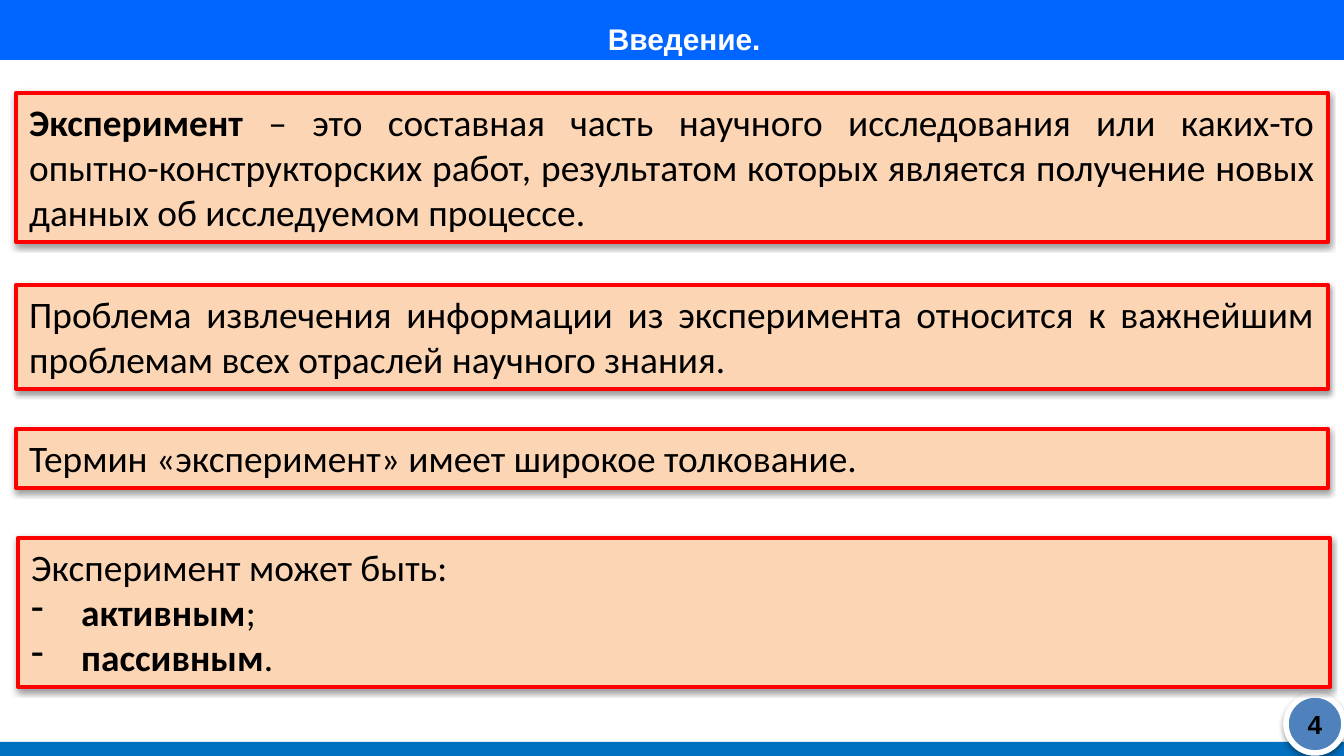
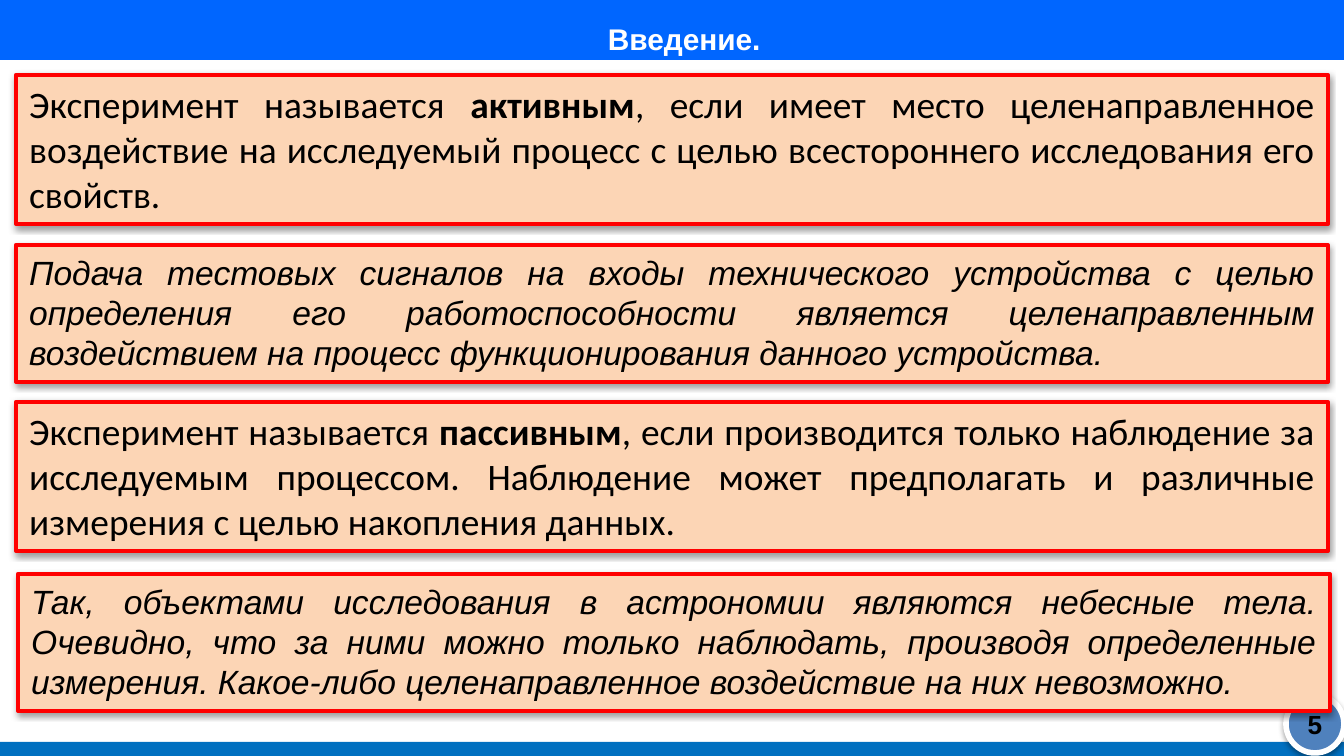
"""Build two introduction slides on active and passive experiments."""
import dataclasses
import lxml.etree
import pptx
import pptx.dml.color
import pptx.enum.shapes
import pptx.enum.text
import pptx.oxml
import pptx.oxml.ns
import pptx.util

SHAPE = pptx.enum.shapes.MSO_SHAPE
ALIGN = pptx.enum.text.PP_ALIGN
ANCHOR = pptx.enum.text.MSO_ANCHOR
FIT = pptx.enum.text.MSO_AUTO_SIZE


@dataclasses.dataclass(frozen=True)
class TextStyle:
    font: str
    size: int
    color: str = "000000"
    bold: bool = False
    italic: bool = False
    line_height: int = 0


@dataclasses.dataclass(frozen=True)
class Theme:
    header: str = "0066FF"
    footer: str = "0070C0"
    badge: str = "4F81BD"
    badge_line: str = "FFFFFF"
    panel: str = "FCD5B5"
    panel_line: str = "FF0000"
    title: TextStyle = TextStyle("Arial", 16, "FFFFFF", bold=True)
    number: TextStyle = TextStyle("Arial", 14, bold=True)
    body: TextStyle = TextStyle("Calibri", 20, line_height=45)
    example: TextStyle = TextStyle("Arial", 18, italic=True, line_height=41)


THEME = Theme()
TITLE = "Введение."
WIDTH, HEIGHT = 1344, 756
SCALE = 914400 / 134.4
PANEL_LEFT, PANEL_WIDTH, PANEL_PADDING = 16, 1312, 14
LAST_PANEL_SHIFT = 2
BULLET_INDENT = 50

SLIDES = [
    {"number": "4", "panels": [
        {"top": 93, "lines": 3, "style": THEME.body, "paras": [
            [("Эксперимент", True),
             (" – это составная часть научного исследования или каких-то "
              "опытно-конструкторских работ, результатом которых является "
              "получение новых данных об исследуемом процессе.", False)]]},
        {"top": 285, "lines": 2, "style": THEME.body, "paras": [
            [("Проблема извлечения информации из эксперимента относится к "
              "важнейшим проблемам всех отраслей научного знания.", False)]]},
        {"top": 429, "lines": 1, "style": THEME.body, "paras": [
            [("Термин «эксперимент» имеет широкое толкование.", False)]]},
        {"top": 538, "lines": 3, "style": THEME.body,
         "paras": [[("Эксперимент может быть:", False)]],
         "bullets": [[("активным", True), (";", False)],
                     [("пассивным", True), (".", False)]]},
    ]},
    {"number": "5", "panels": [
        {"top": 75, "lines": 3, "style": THEME.body, "paras": [
            [("Эксперимент называется ", False), ("активным", True),
             (", если имеет место целенаправленное воздействие на исследуемый "
              "процесс с целью всестороннего исследования его свойств.", False)]]},
        {"top": 245, "lines": 3, "style": THEME.example, "paras": [
            [("Подача тестовых сигналов на входы технического устройства с "
              "целью определения его работоспособности является "
              "целенаправленным воздействием на процесс функционирования "
              "данного устройства.", False)]]},
        {"top": 402, "lines": 3, "style": THEME.body, "paras": [
            [("Эксперимент называется ", False), ("пассивным", True),
             (", если производится только наблюдение за исследуемым процессом. "
              "Наблюдение может предполагать и различные измерения с целью "
              "накопления данных.", False)]]},
        {"top": 574, "lines": 3, "style": THEME.example, "paras": [
            [("Так, объектами исследования в астрономии являются небесные "
              "тела. Очевидно, что за ними можно только наблюдать, производя "
              "определенные измерения. Какое-либо целенаправленное "
              "воздействие на них невозможно.", False)]]},
    ]},
]


def px(length):
    """Turn pixels into EMU."""
    return pptx.util.Emu(round(length * SCALE))


def rgb(color):
    """Turn a hex string into a colour."""
    return pptx.dml.color.RGBColor.from_string(color)


def place(shape, left, top, width, height):
    """Set the position and size of a shape in pixels."""
    shape.left, shape.top = px(left), px(top)
    shape.width, shape.height = px(width), px(height)


def style_span(span, style, bold=None):
    """Apply a text style to one run."""
    span.font.name = style.font
    span.font.size = pptx.util.Pt(style.size)
    span.font.bold = style.bold if bold is None else bold
    span.font.italic = style.italic
    span.font.color.rgb = rgb(style.color)


def add_figure(page, kind, area, fill, line=None, line_width=0):
    """Add a filled preset shape, outlined or plain."""
    shape = page.shapes.add_shape(kind, *map(px, area))
    shape.shadow.inherit = False
    shape.fill.solid()
    shape.fill.fore_color.rgb = rgb(fill)
    if line:
        shape.line.color.rgb = rgb(line)
        shape.line.width = pptx.util.Pt(line_width)
    else:
        shape.line.fill.background()
    return shape


def add_shadow(shape):
    """Give a shape a soft shadow that falls downward."""
    effects = shape.element.spPr.find(pptx.oxml.ns.qn("a:effectLst"))
    effects.append(pptx.oxml.parse_xml(
        '<a:outerShdw xmlns:a="http://schemas.openxmlformats.org/drawingml/2006/main"'
        ' blurRad="40000" dist="20000" dir="5400000" rotWithShape="0">'
        '<a:srgbClr val="000000"><a:alpha val="38000"/></a:srgbClr></a:outerShdw>'))


def add_bullet(para):
    """Give a paragraph a hanging dash."""
    properties = para._p.get_or_add_pPr()
    properties.set("marL", str(px(BULLET_INDENT)))
    properties.set("indent", str(-px(BULLET_INDENT)))
    bullet = lxml.etree.SubElement(properties, pptx.oxml.ns.qn("a:buChar"))
    bullet.set("char", "-")


def add_frame(page, number):
    """Add the header, title, footer and numbered badge."""
    header = add_figure(page, SHAPE.RECTANGLE, (0, 0, WIDTH, 60), THEME.header)
    title = page.shapes.title
    header.element.addnext(title.element)
    place(title, 103, -3, 1140, 63)
    frame = title.text_frame
    frame.text = TITLE
    frame.auto_size = FIT.NONE
    frame.vertical_anchor = ANCHOR.TOP
    frame.margin_left, frame.margin_top = px(36), px(24)
    frame.margin_bottom = 0
    frame.paragraphs[0].alignment = ALIGN.CENTER
    style_span(frame.paragraphs[0].runs[0], THEME.title)

    add_figure(page, SHAPE.RECTANGLE, (0, 742, WIDTH, 14), THEME.footer)
    badge = add_figure(page, SHAPE.OVAL, (1286, 695, 58, 58),
                       THEME.badge, THEME.badge_line, 3)
    add_shadow(badge)
    box = page.shapes.add_textbox(*map(px, (1286, 704, 58, 41)))
    box.text_frame.word_wrap = True
    box.text_frame.vertical_anchor = ANCHOR.MIDDLE
    box.text_frame.text = number
    box.text_frame.paragraphs[0].alignment = ALIGN.CENTER
    style_span(box.text_frame.paragraphs[0].runs[0], THEME.number)


def add_panel(page, panel, shift):
    """Add one outlined panel sized by its number of lines."""
    style = panel["style"]
    height = panel["lines"] * style.line_height + PANEL_PADDING
    area = (PANEL_LEFT + shift, panel["top"], PANEL_WIDTH, height)
    shape = add_figure(page, SHAPE.RECTANGLE, area,
                       THEME.panel, THEME.panel_line, 2.25)
    add_shadow(shape)
    frame = shape.text_frame
    frame.word_wrap = True
    frame.auto_size = FIT.SHAPE_TO_FIT_TEXT
    frame.vertical_anchor = ANCHOR.TOP
    plain = panel["paras"]
    for index, spans in enumerate(plain + panel.get("bullets", [])):
        para = frame.add_paragraph() if index else frame.paragraphs[0]
        para.alignment = ALIGN.JUSTIFY
        if index >= len(plain):
            add_bullet(para)
        for text, bold in spans:
            span = para.add_run()
            span.text = text
            style_span(span, style, bold)


def build():
    """Create the deck and save it."""
    deck = pptx.Presentation()
    deck.slide_width, deck.slide_height = px(WIDTH), px(HEIGHT)
    for content in SLIDES:
        page = deck.slides.add_slide(deck.slide_layouts[5])
        add_frame(page, content["number"])
        for panel in content["panels"]:
            is_last = panel is content["panels"][-1]
            add_panel(page, panel, LAST_PANEL_SHIFT if is_last else 0)
    deck.save("out.pptx")


build()
